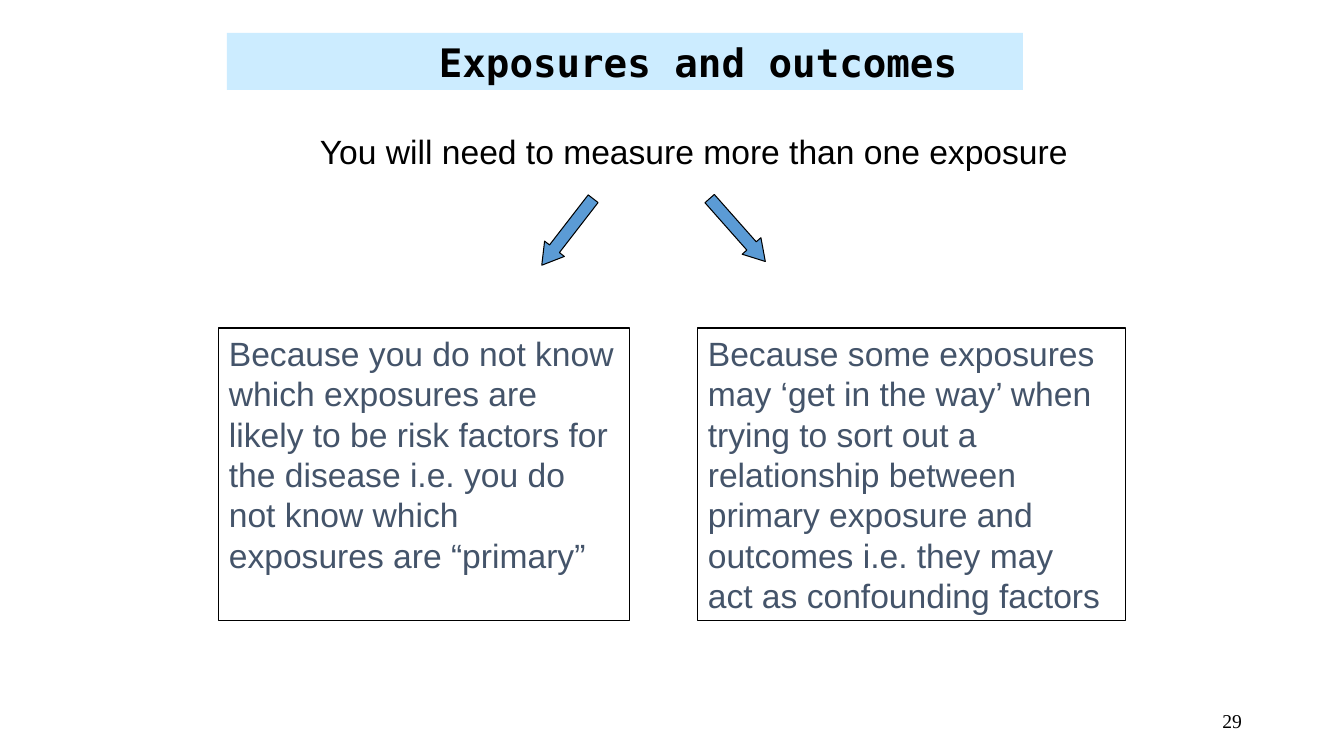
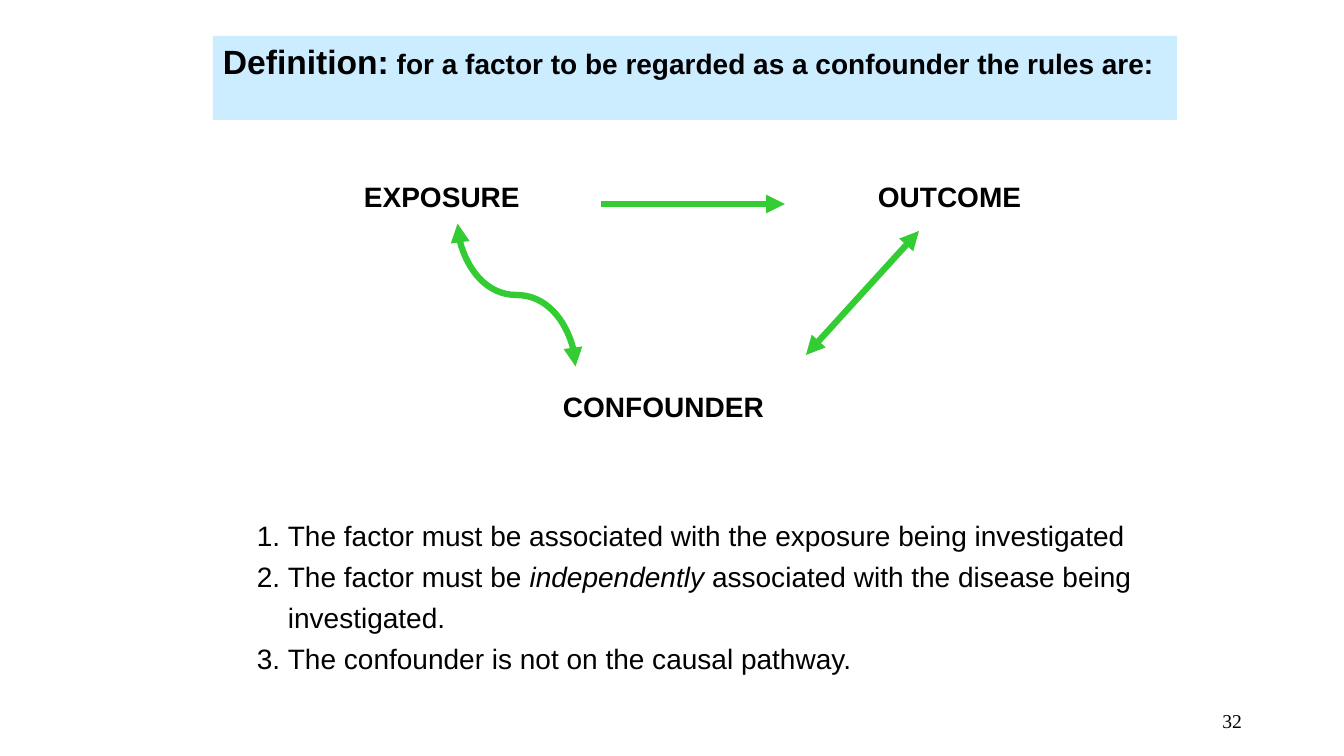
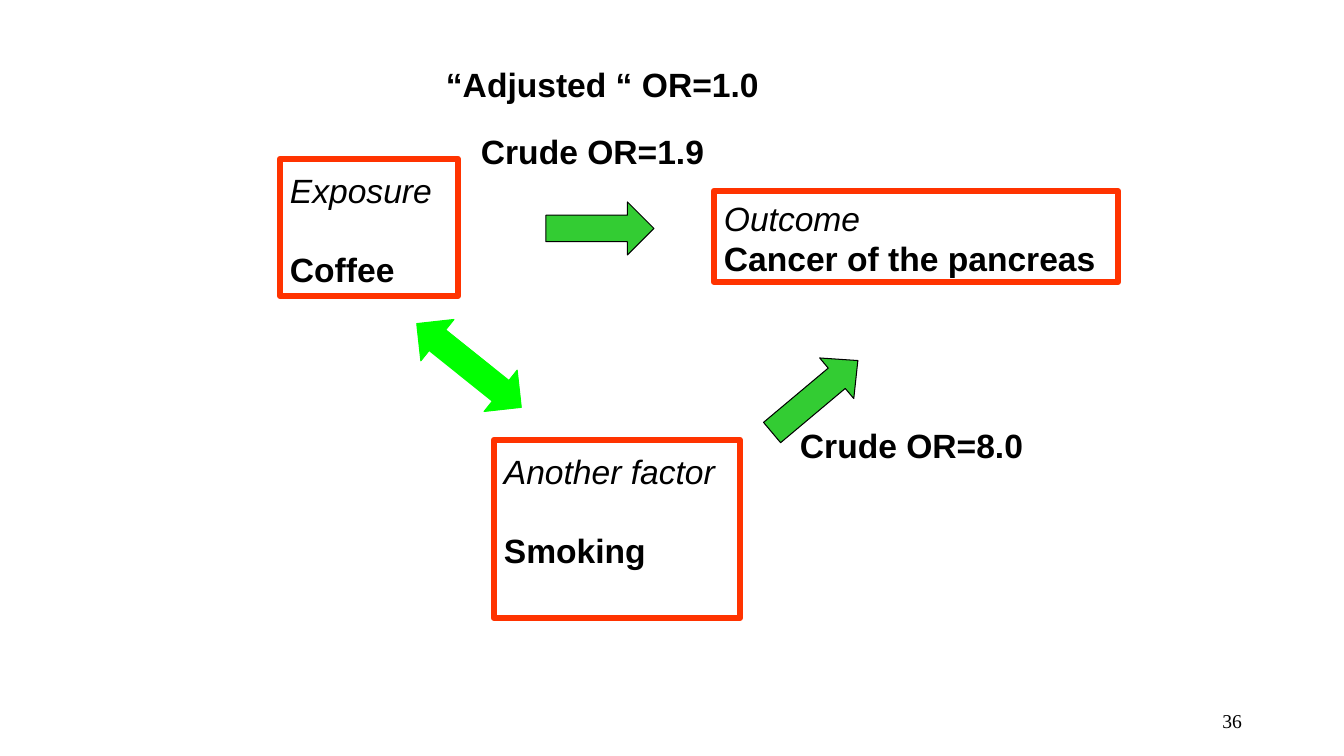
from lxml import etree
from pptx import Presentation
from pptx.dml.color import RGBColor
from pptx.enum.shapes import MSO_CONNECTOR, MSO_SHAPE
from pptx.enum.text import MSO_ANCHOR, PP_ALIGN
from pptx.oxml.ns import qn
from pptx.util import Emu, Pt

RECT = MSO_SHAPE.RECTANGLE
DOWN, RIGHT, BOTH = MSO_SHAPE.DOWN_ARROW, MSO_SHAPE.RIGHT_ARROW, MSO_SHAPE.LEFT_RIGHT_ARROW
STRAIGHT, CURVE = MSO_CONNECTOR.STRAIGHT, MSO_CONNECTOR.CURVE
TOP, MIDDLE = MSO_ANCHOR.TOP, MSO_ANCHOR.MIDDLE

SCALE = 914400 / 100.8
WIDTH, HEIGHT = 1344, 756
COLORS = {
    "text": "000000", "slate": "44546A", "band": "CCECFF", "blue": "5B9BD5",
    "green": "33CC33", "lime": "00FF00", "red": "FF3300",
}
SANS, MONO, SERIF = "Arial", "DejaVu Sans Mono", "Times New Roman"


def px(value):
    return Emu(round(value * SCALE))


def rgb(name):
    return RGBColor.from_string(COLORS[name])


class Builder:
    """Holds the deck, its style and the current page."""

    def __init__(self):
        self.deck = Presentation()
        self.deck.slide_width, self.deck.slide_height = px(WIDTH), px(HEIGHT)
        self.page = None

    def start_page(self, number):
        self.page = self.deck.slides.add_slide(self.deck.slide_layouts[6])
        para = self.text(950, 701, 302, 40, [number], size=14, font=SERIF, anchor=MIDDLE)[0]
        para.alignment = PP_ALIGN.RIGHT

    def set_lines(self, box, lines, size=24, font=SANS, color="text", bold=None, anchor=TOP):
        """Each line is a string or a list of (text, font settings)."""
        frame = box.text_frame
        frame.word_wrap = True
        frame.vertical_anchor = anchor
        for index, line in enumerate(lines):
            para = frame.paragraphs[0] if index == 0 else frame.add_paragraph()
            para.alignment = PP_ALIGN.LEFT
            para.font.name, para.font.size, para.font.bold = font, Pt(size), bold
            para.font.color.rgb = rgb(color)
            for words, settings in [(line, {})] if isinstance(line, str) else line:
                span = para.add_run()
                span.text = words
                for name, value in settings.items():
                    setattr(span.font, name, value)
        return frame.paragraphs

    def text(self, left, top, width, height, lines, **style):
        box = self.page.shapes.add_textbox(px(left), px(top), px(width), px(height))
        return self.set_lines(box, lines, **style)

    def label(self, left, top, words, width=360, **style):
        self.text(left, top, width, 50, [words], anchor=MIDDLE, **style)

    def shape(self, kind, left, top, width, height, fill=None, line=None, weight=0.75):
        shape = self.page.shapes.add_shape(kind, px(left), px(top), px(width), px(height))
        shape.shadow.inherit = False
        if fill:
            shape.fill.solid()
            shape.fill.fore_color.rgb = rgb(fill)
        else:
            shape.fill.background()
        if line:
            shape.line.color.rgb = rgb(line)
            shape.line.width = Pt(weight)
        else:
            shape.line.fill.background()
        return shape

    def band(self, left, top, width, height, line, **style):
        box = self.shape(RECT, left, top, width, height, fill="band")
        return self.set_lines(box, [line], **style)[0]

    def block_arrow(self, kind, left, top, width, height, fill, head, turn=0, line="text"):
        arrow = self.shape(kind, left, top, width, height, fill, line)
        arrow.adjustments[0], arrow.adjustments[1] = 0.5, head
        arrow.rotation = turn

    def factor(self, left, top, width, height, role, name, gap, inset):
        box = self.shape(RECT, left, top, width, height, line="red", weight=4.5)
        box.text_frame.margin_top = px(inset)
        paras = self.set_lines(box, [role, name])
        paras[0].font.italic = True
        paras[1].font.bold = True
        paras[1].space_before = Pt(gap)

    def arrow(self, start, end, kind=STRAIGHT, double=True, turn=0):
        line = self.page.shapes.add_connector(kind, *map(px, start + end))
        line.line.color.rgb = rgb("green")
        line.line.width = Pt(4.5)
        props = line.element.spPr
        ends = ("headEnd", "tailEnd") if double else ("tailEnd",)
        for name in ends:
            etree.SubElement(props.find(qn("a:ln")), qn("a:" + name), type="triangle")
        etree.SubElement(props, qn("a:effectLst"))
        if turn:
            props.find(qn("a:xfrm")).set("rot", str(turn * 60000))

    def numbered(self, left, top, width, height, lines, hang, **style):
        for para in self.text(left, top, width, height, lines, **style):
            para.line_spacing = 1.22
            props = para._p.get_or_add_pPr()
            props.set("marL", str(px(hang)))
            props.set("indent", str(-px(hang)))
            number = etree.Element(qn("a:buAutoNum"), type="arabicPeriod")
            props.find(qn("a:defRPr")).addprevious(number)


show = Builder()

# Exposures and outcomes
show.start_page("29")
title = show.band(227, 33, 796, 57, "Exposures and outcomes", size=28, font=MONO, bold=True)
title._p.get_or_add_pPr().set("marL", str(px(202)))
show.label(310, 126, "You will need to measure more than one exposure", width=790)
for left, top, turn in [(555, 190, 37.7), (725, 188, 318.5)]:
    show.block_arrow(DOWN, left, top, 25, 84, "blue", 0.83, turn)
reasons = [
    (219, 411, ["Because you do not know which exposures are",
                "likely to be risk factors for the disease i.e. you do not know "
                "which exposures are “primary”"]),
    (698, 428, ["Because some exposures",
                "may ‘get in the way’ when trying to sort out a",
                "relationship between",
                "primary exposure and",
                "outcomes i.e. they may",
                "act as confounding factors"]),
]
for left, width, lines in reasons:
    reason = show.shape(RECT, left, 328, width, 293, line="text")
    show.set_lines(reason, lines, color="slate")

# Rules for a confounder
show.start_page("32")
show.band(213, 36, 964, 84, [
    ("Definition:", {"size": Pt(24)}),
    (" for a factor to be regarded as a confounder the rules are:", {}),
], size=20, bold=True)
for left, top, words in [(354, 171, "EXPOSURE"), (868, 171, "OUTCOME"), (553, 381, "CONFOUNDER")]:
    show.label(left, top, words, width=240, size=20, bold=True)
show.arrow((601, 204), (785, 204), double=False)
show.arrow((806, 355), (919, 231))
show.arrow((588, 236), (445, 354), kind=CURVE, turn=270)
show.numbered(247, 506, 928, 173, [
    "The factor must be associated with the exposure being investigated",
    [("The factor must be ", {}), ("independently", {"italic": True}),
     (" associated with the disease being investigated.", {})],
    "The confounder is not on the causal pathway.",
], hang=31, size=20)

# Crude and adjusted odds ratios
show.start_page("36")
show.factor(280, 159, 178, 137, "Exposure", "Coffee", gap=27.6, inset=11)
show.factor(714, 191, 404, 91, "Outcome", "Cancer of the pancreas", gap=0, inset=7)
show.factor(494, 440, 246, 178, "Another factor", "Smoking", gap=27.6, inset=11)
show.block_arrow(RIGHT, 546, 202, 108, 53, "green", 0.5)
show.block_arrow(RIGHT, 759, 370, 112, 53, "green", 0.52, turn=320)
show.block_arrow(BOTH, 402, 339, 134, 53, "lime", 0.5, turn=38.7, line="lime")
for left, top, words in [(436, 59, "“Adjusted “ OR=1.0"), (471, 126, "Crude OR=1.9"),
                         (790, 420, "Crude OR=8.0")]:
    show.label(left, top, words, bold=True)

show.deck.save("out.pptx")
